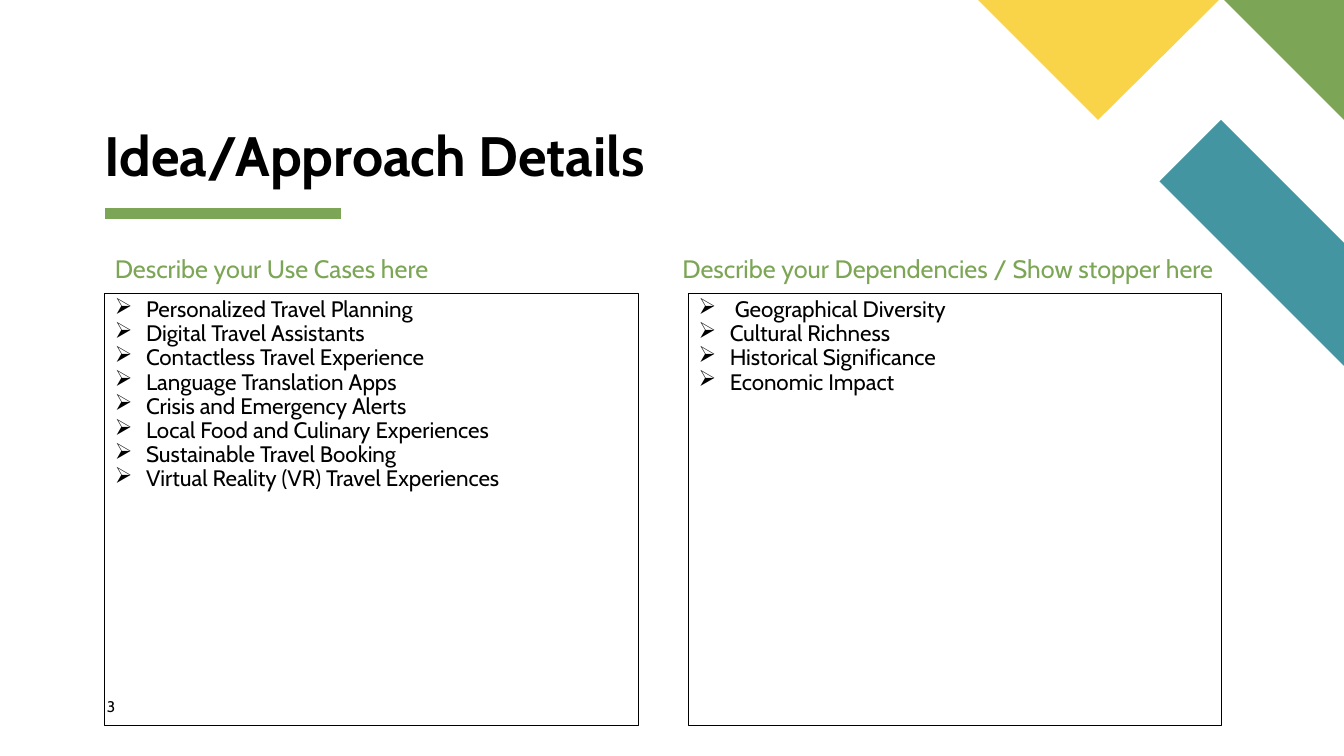
from lxml import etree
from pptx import Presentation
from pptx.dml.color import RGBColor
from pptx.enum.shapes import MSO_CONNECTOR, MSO_SHAPE
from pptx.enum.text import MSO_ANCHOR, PP_ALIGN
from pptx.oxml.ns import qn
from pptx.util import Inches, Pt

STRAIGHT = MSO_CONNECTOR.STRAIGHT
RECTANGLE = MSO_SHAPE.RECTANGLE
TOP, BOTTOM = MSO_ANCHOR.TOP, MSO_ANCHOR.BOTTOM
LEFT = PP_ALIGN.LEFT

FONT = "Cabin"
BLACK, GREEN, TEAL, YELLOW = "000000", "7CA655", "4495A2", "F9D448"
SLIDE_WIDTH, SLIDE_HEIGHT = 13.33, 7.5
MARGIN = 1.04
PANEL_WIDTH, PANEL_HEIGHT = 5.29, 4.29
PANEL_GAP = 0.5
HEADING_HEIGHT, HEADING_STEP = 0.35, 0.41

USE_CASES = [
    "Personalized Travel Planning",
    "Digital Travel Assistants",
    "Contactless Travel Experience",
    "Language Translation Apps",
    "Crisis and Emergency Alerts",
    "Local Food and Culinary Experiences",
    "Sustainable Travel Booking",
    "Virtual Reality (VR) Travel Experiences",
]
DEPENDENCIES = [
    " Geographical Diversity",
    "Cultural Richness",
    "Historical Significance",
    "Economic Impact",
]


def color(hex_string):
    """Turn a hex string into a colour."""
    return RGBColor.from_string(hex_string)


def add_bullet(paragraph, indent):
    """Give a paragraph a hanging arrowhead bullet."""
    properties = paragraph._p.get_or_add_pPr()
    properties.set("marL", str(Inches(indent)))
    properties.set("indent", str(-Inches(indent)))
    bullet_color = etree.SubElement(properties, qn("a:buClr"))
    etree.SubElement(bullet_color, qn("a:srgbClr"), val=BLACK)
    etree.SubElement(properties, qn("a:buFont"), typeface="Wingdings")
    etree.SubElement(properties, qn("a:buChar"), char="Ø")


def write_text(shape, lines, size, font_color=BLACK, bold=False, anchor=TOP,
               insets=(0, 0), spacing=None, bullet_indent=None):
    """Fill a shape with one formatted paragraph per line."""
    frame = shape.text_frame
    frame.word_wrap = True
    frame.vertical_anchor = anchor
    frame.margin_left = frame.margin_right = Inches(insets[0])
    frame.margin_top = frame.margin_bottom = Inches(insets[1])
    for index, line in enumerate(lines):
        paragraph = frame.add_paragraph() if index else frame.paragraphs[0]
        paragraph.alignment = LEFT
        if spacing:
            paragraph.line_spacing = spacing
        if bullet_indent:
            add_bullet(paragraph, bullet_indent)
        run = paragraph.add_run()
        run.text = line
        run.font.name = FONT
        run.font.size = Pt(size)
        run.font.bold = bold
        run.font.color.rgb = color(font_color)


def add_text(slide, text, left, top, width, height, **text_format):
    """Add a text box holding one line."""
    box = slide.shapes.add_textbox(
        Inches(left), Inches(top), Inches(width), Inches(height))
    write_text(box, [text], **text_format)


def add_polygon(slide, points, fill):
    """Add a filled outline without a border."""
    corners = [(Inches(x), Inches(y)) for x, y in points]
    builder = slide.shapes.build_freeform(*corners[0], scale=1.0)
    builder.add_line_segments(corners[1:], close=True)
    shape = builder.convert_to_shape()
    shape.shadow.inherit = False
    shape.fill.solid()
    shape.fill.fore_color.rgb = color(fill)
    shape.line.fill.background()


def add_corner_decoration(slide, right, top):
    """Place the diagonal bands in the top right corner of the slide."""
    polygons = [
        (TEAL, [(0, 3.63), (0, 2.41), (-1.22, 1.19), (-1.83, 1.8)]),
        (GREEN, [(0, 1.19), (0, 0), (-1.19, 0)]),
        (YELLOW, [(-3.63, 0), (-2.44, 1.19), (-1.24, 0)]),
    ]
    for fill, points in polygons:
        add_polygon(slide, [(right + x, top + y) for x, y in points], fill)


def add_title(slide, left, top, width, height):
    """Place the title with its green rule below."""
    add_text(slide, "Idea/Approach Details", left, top, width, height,
             size=39.6, bold=True, anchor=BOTTOM, spacing=0.9)
    rule_top = Inches(top + height + 0.25)
    rule = slide.shapes.add_connector(
        STRAIGHT, Inches(left), rule_top, Inches(left + 2.34), rule_top)
    rule.line.color.rgb = color(GREEN)
    rule.line.width = Pt(8)
    etree.SubElement(rule._element.spPr, qn("a:effectLst"))


def add_panel(slide, heading, items, left, top, heading_left, heading_width):
    """Place a heading above a bordered box of bulleted items."""
    add_text(slide, heading, heading_left, top, heading_width, HEADING_HEIGHT,
             size=18, font_color=GREEN, insets=(0.1, 0.05), spacing=0.9)
    box = slide.shapes.add_shape(
        RECTANGLE, Inches(left), Inches(top + HEADING_STEP),
        Inches(PANEL_WIDTH), Inches(PANEL_HEIGHT))
    box.shadow.inherit = False
    box.fill.background()
    box.line.color.rgb = color(BLACK)
    box.line.width = Pt(0.75)
    write_text(box, items, size=16, insets=(0.1, 0.05), spacing=0.9,
               bullet_indent=0.31)


def build_slide(presentation):
    """Build the two-panel details slide."""
    slide = presentation.slides.add_slide(presentation.slide_layouts[6])
    add_corner_decoration(slide, SLIDE_WIDTH, 0)
    add_title(slide, MARGIN, 1.2, 6.32, 0.67)
    add_panel(slide, "Describe your Use Cases here", USE_CASES,
              MARGIN, 2.5, MARGIN, PANEL_WIDTH)
    add_panel(slide, "Describe your Dependencies / Show stopper here",
              DEPENDENCIES, MARGIN + PANEL_WIDTH + PANEL_GAP, 2.5, 6.67, 5.62)
    add_text(slide, "3", 1.06, 6.92, 0.57, 0.27, size=11)


def main():
    """Create the presentation and save it."""
    presentation = Presentation()
    presentation.slide_width = Inches(SLIDE_WIDTH)
    presentation.slide_height = Inches(SLIDE_HEIGHT)
    build_slide(presentation)
    presentation.save("out.pptx")


main()
